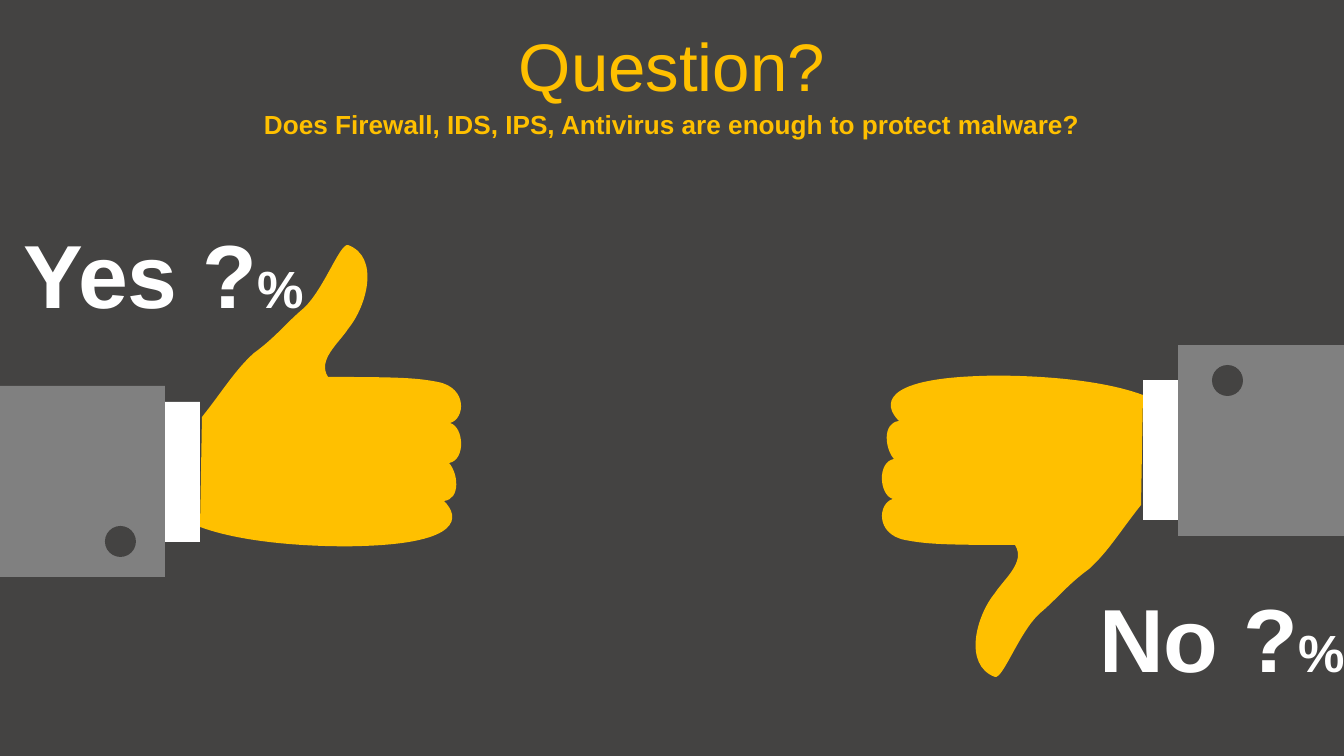
from lxml import etree
from pptx import Presentation
from pptx import util as u
from pptx.dml.color import RGBColor
from pptx.enum import shapes, text
from pptx.oxml.ns import qn

PX = 914400 / 134.4
HEX = {"back": "444342", "gold": "FFC000", "gray": "808080", "white": "FFFFFF"}

# text, box (left, top, width, height), size, bold
HEADS = [
    ("Question?", (0, 22, 1344, 85), 36, False),
    ("Does Firewall, IDS, IPS, Antivirus are enough to protect malware?",
     (0, 103, 1344, 42), 14, True),
]
VOTES = [("Yes ?", (10, 212, 310, 122)), ("No ?", (1086, 576, 276, 122))]

# The thumbs-up arm; the thumbs-down arm is the same one turned half round
CUFF = (148, 402, 52, 140)
SLEEVE = (-1, 386, 166, 191)
HAND = (200, 245, 261, 301)
TURN = (1343, 922)  # sum of the coordinates of a point and its turned twin
ARMS = [(0, (105, 526, 31, 31)), (180, (1212, 365, 31, 31))]  # angle, button
START = (348, 245)
CURVES = [  # two handles and an end, or just the end of a straight line
    [(340, 243), (324, 289), (304, 308)],
    [(286, 323), (276, 337), (254, 353)],
    [(235, 370), (222, 392), (202, 417)],
    [(200, 527)],
    [(254, 547), (341, 547), (362, 546)],
    [(462, 543), (460, 517), (444, 501)],
    [(461, 499), (458, 473), (449, 463)],
    [(466, 460), (464, 427), (450, 423)],
    [(465, 419), (468, 388), (438, 382)],
    [(417, 378), (401, 377), (328, 377)],
    [(317, 360), (339, 343), (348, 329)],
    [(367, 306), (380, 257), START],
]


def px(*vals):
    return [u.Emu(round(v * PX)) for v in vals]


def color(name):
    return RGBColor.from_string(HEX[name])


def paint(shape, name, angle=0):
    shape.shadow.inherit = False
    shape.fill.solid()
    shape.fill.fore_color.rgb = color(name)
    shape.line.fill.background()
    shape.rotation = angle


def turn(box, angle):
    if not angle:
        return box
    x, y, w, h = box
    return TURN[0] - x - w, TURN[1] - y - h, w, h


def add_hand(group, angle):
    """Freeform with the extent of the hand, its path made of Bezier curves."""
    x, y, w, h = px(*turn(HAND, angle))
    pen = group.shapes.build_freeform(x, y)
    pen.add_line_segments([(x + w, y + h)])
    hand = pen.convert_to_shape()
    path = hand._element.find(".//" + qn("a:path"))
    for step in list(path):
        path.remove(step)

    def draw(tag, pts=()):
        step = etree.SubElement(path, qn(tag))
        for a, b in pts:
            left, top = px(a - HAND[0], b - HAND[1])
            etree.SubElement(step, qn("a:pt"), x=str(left), y=str(top))

    draw("a:moveTo", [START])
    for curve in CURVES:
        draw("a:lnTo" if len(curve) == 1 else "a:cubicBezTo", curve)
    draw("a:close")
    paint(hand, "gold", angle)


def add_arm(slide, angle, button):
    group = slide.shapes.add_group_shape()

    def add(kind, box, name):
        paint(group.shapes.add_shape(kind, *px(*box)), name, angle)

    add(shapes.MSO_SHAPE.RECTANGLE, turn(CUFF, angle), "white")
    add(shapes.MSO_SHAPE.RECTANGLE, turn(SLEEVE, angle), "gray")
    add_hand(group, angle)
    add(shapes.MSO_SHAPE.OVAL, button, "back")


def style(font, size, name, bold):
    font.name = "Arial"
    font.size = u.Pt(size)
    font.bold = bold
    font.color.rgb = color(name)


def main():
    prs = Presentation()
    prs.slide_width, prs.slide_height = px(1344, 756)
    slide = prs.slides.add_slide(prs.slide_layouts[0])
    slide.background.fill.solid()
    slide.background.fill.fore_color.rgb = color("back")

    for holder, (words, box, size, bold) in zip(slide.placeholders, HEADS):
        holder.left, holder.top, holder.width, holder.height = px(*box)
        frame = holder.text_frame
        frame.text = words
        frame.auto_size = text.MSO_AUTO_SIZE.NONE
        frame.vertical_anchor = text.MSO_ANCHOR.MIDDLE
        para = frame.paragraphs[0]
        para.alignment = text.PP_ALIGN.CENTER
        para.space_before = u.Pt(0)
        style(para.font, size, "gold", bold)

    for angle, button in ARMS:
        add_arm(slide, angle, button)

    for words, box in VOTES:
        frame = slide.shapes.add_textbox(*px(*box)).text_frame
        frame.word_wrap = False
        frame.auto_size = text.MSO_AUTO_SIZE.SHAPE_TO_FIT_TEXT
        para = frame.paragraphs[0]
        for part, size in ((words, 48), ("%", 28)):
            run = para.add_run()
            run.text = part
            style(run.font, size, "white", True)

    prs.save("out.pptx")


if __name__ == "__main__":
    main()
